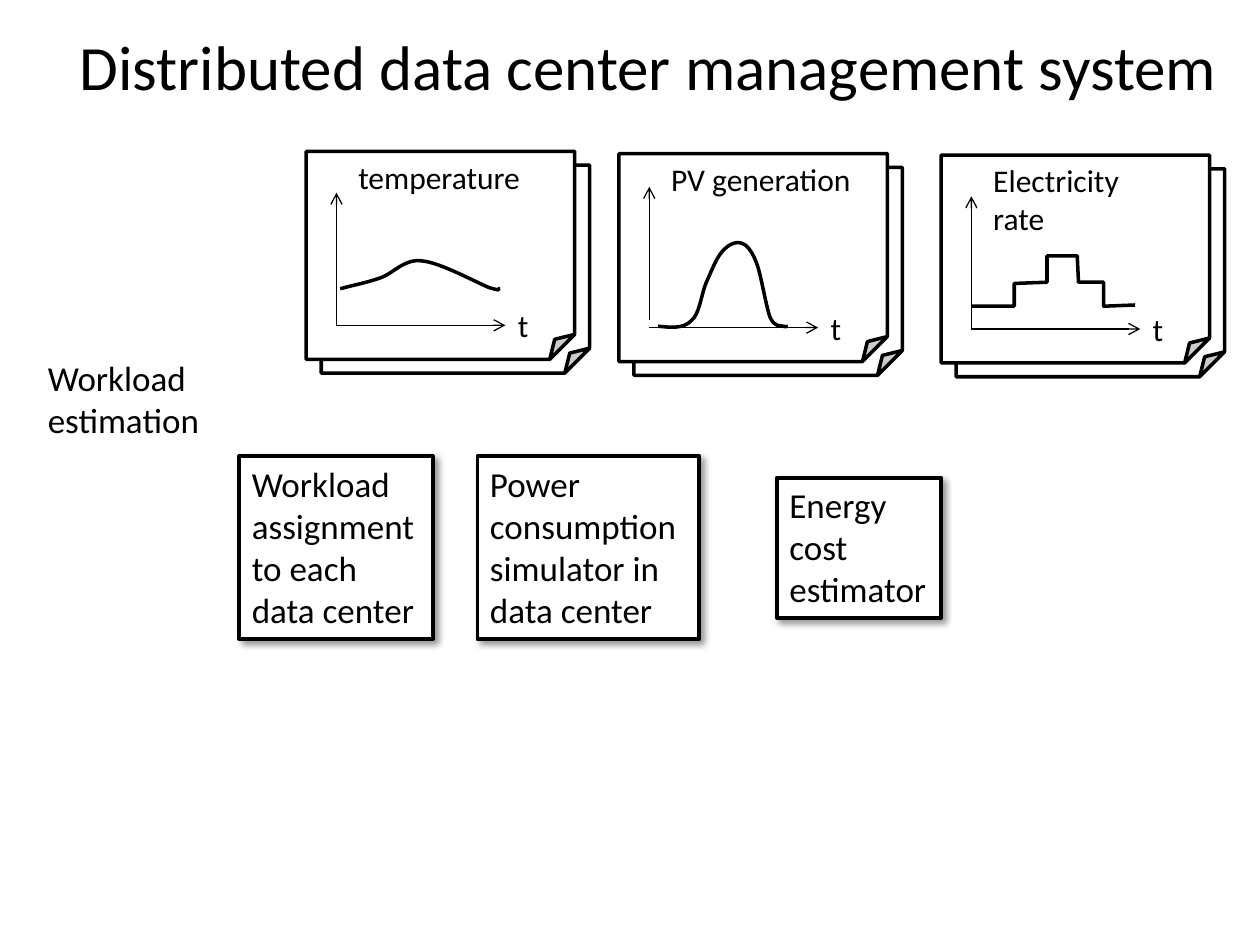
from dataclasses import dataclass

from lxml import etree
from pptx import Presentation
from pptx.dml.color import RGBColor
from pptx.enum import shapes, text
from pptx.oxml import ns
from pptx.util import Pt


@dataclass(frozen=True)
class Theme:
    """Colours, font, type sizes and line widths of the slide."""
    ink: RGBColor = RGBColor(0, 0, 0)
    paper: RGBColor = RGBColor(255, 255, 255)
    font: str = "Calibri"
    title: int = 36
    body: int = 20
    label: int = 18
    axis: float = 0.75
    outline: float = 2
    frame: float = 2.25


THEME = Theme()
CARD_SIZE = (153.4, 118.8)
PAGE_SHIFT = (8.6, 7.9)
ORIGIN = (17.3, 99.4)
AXIS_LENGTHS = (96.5, 75.8)

TEMPERATURE = [
    (19.4, 78.5),
    (27.4, 76.3), (35.3, 74.9), (43.2, 72),
    (50.4, 69.1), (56.2, 61.2), (66.2, 62.6),
    (76.3, 63.4), (97.2, 74.9), (104.4, 77.8),
    (111.6, 79.9), (110.2, 79.2), (109.4, 77.8)]
GENERATION = [
    (22.3, 98.6),
    (29.5, 99.4), (36.7, 100.1), (41, 95.8),
    (46.1, 92.2), (46.8, 81.4), (49.7, 74.2),
    (52.6, 67.7), (55.4, 60.5), (58.3, 56.9),
    (61.2, 53.3), (63.4, 51.8), (66.2, 51.1),
    (68.4, 50.4), (70.6, 51.1), (72.7, 52.6),
    (74.9, 54.7), (77, 57.6), (79.2, 64.1),
    (81.4, 70.6), (84.2, 87.8), (86.4, 93.6),
    (89.3, 99.4), (91.4, 97.9), (93.6, 98.6),
    (95, 99.4), (95.8, 98.6), (96.5, 98.6)]
RATE = [
    (17.3, 86.4), (41.8, 86.4), (41.8, 73.4), (60.5, 72.7), (60.5, 57.6),
    (77.8, 57.6), (78.5, 72.7), (92.9, 72.7), (92.9, 86.4), (110.9, 85.7)]


def add_xml(parent, tag, **attributes):
    """Append a DrawingML element and return it."""
    return etree.SubElement(parent, ns.qn(tag), attributes)


def write(frame, paragraphs, size, align=text.PP_ALIGN.LEFT,
          anchor=text.MSO_ANCHOR.TOP, wrap=False, grow=True):
    """Fill a text frame with formatted paragraphs."""
    frame.word_wrap = wrap
    frame.auto_size = (text.MSO_AUTO_SIZE.SHAPE_TO_FIT_TEXT if grow
                       else text.MSO_AUTO_SIZE.NONE)
    frame.vertical_anchor = anchor
    for index, wording in enumerate(paragraphs):
        paragraph = frame.add_paragraph() if index else frame.paragraphs[0]
        paragraph.text = wording
        paragraph.alignment = align
        for run in paragraph.runs:
            run.font.name = THEME.font
            run.font.size = Pt(size)
            run.font.color.rgb = THEME.ink


def add_label(slide, box, paragraphs, size, **style):
    """Place text in a plain box."""
    label = slide.shapes.add_textbox(*map(Pt, box))
    write(label.text_frame, paragraphs, size, **style)


def add_panel(slide, kind, box, width):
    """Place a white shape with a black outline."""
    panel = slide.shapes.add_shape(kind, *map(Pt, box))
    panel.shadow.inherit = False
    panel.fill.solid()
    panel.fill.fore_color.rgb = THEME.paper
    panel.line.color.rgb = THEME.ink
    panel.line.width = Pt(width)
    return panel


def add_arrow(slide, start, end):
    """Draw a thin axis with an arrowhead at its end."""
    axis = slide.shapes.add_connector(
        shapes.MSO_CONNECTOR.STRAIGHT, *map(Pt, start + end))
    axis.line.color.rgb = THEME.ink
    axis.line.width = Pt(THEME.axis)
    outline = axis._element.spPr.find(ns.qn("a:ln"))
    add_xml(outline, "a:tailEnd", type="arrow")
    add_xml(axis._element.spPr, "a:effectLst")


def add_trace(slide, left, top, points, curved):
    """Draw a series as straight steps or as cubic curves."""
    points = [(Pt(left + x), Pt(top + y)) for x, y in points]
    corners = points[::3] if curved else points
    builder = slide.shapes.build_freeform(*corners[0])
    builder.add_line_segments(corners[1:], close=False)
    trace = builder.convert_to_shape()
    trace.shadow.inherit = False
    trace.fill.background()
    trace.line.color.rgb = THEME.ink
    trace.line.width = Pt(THEME.outline)
    if curved:
        segments = list(trace._element.iter(ns.qn("a:lnTo")))
        for index, segment in enumerate(segments):
            bezier = etree.Element(ns.qn("a:cubicBezTo"))
            for x, y in points[3 * index + 1:3 * index + 4]:
                add_xml(bezier, "a:pt", x=str(x - trace.left), y=str(y - trace.top))
            segment.getparent().replace(segment, bezier)


def add_chart_card(slide, left, top, title, title_size, points, curved=True, lift=0):
    """Place stacked pages that hold a sketched time series."""
    for shift_x, shift_y in (PAGE_SHIFT, (0, 0)):
        page = add_panel(slide, shapes.MSO_SHAPE.FOLDED_CORNER,
                         (left + shift_x, top + shift_y, *CARD_SIZE), THEME.outline)
        fold = next(page._element.iter(ns.qn("a:avLst")))
        add_xml(fold, "a:gd", name="adj", fmla="val 12000")
    x, y = left + ORIGIN[0], top + ORIGIN[1]
    across, up = AXIS_LENGTHS
    add_arrow(slide, (x, y), (x + across, y))
    add_arrow(slide, (x, y - lift), (x, y - lift - up))
    add_trace(slide, left, top, points, curved)
    add_label(slide, (left + 22.7, top, *title_size), title, THEME.label)
    add_label(slide, (x + across, y - 14.4, 30.2, 29), ["t"], THEME.label, wrap=True)


def add_module(slide, box, paragraphs):
    """Place a framed module with a soft shadow."""
    module = add_panel(slide, shapes.MSO_SHAPE.RECTANGLE, box, THEME.frame)
    effects = module._element.spPr.find(ns.qn("a:effectLst"))
    shadow = add_xml(effects, "a:outerShdw", blurRad=str(Pt(4)), dist=str(Pt(3)),
                     dir="2700000", algn="tl", rotWithShape="0")
    colour = add_xml(shadow, "a:srgbClr", val=str(THEME.ink))
    add_xml(colour, "a:alpha", val="40000")
    write(module.text_frame, paragraphs, THEME.body)


def build_slide(slide):
    """Lay out the title, the forecast cards and the modules."""
    add_label(slide, (24.5, 3.6, 691.9, 67), ["Distributed data center management system"],
              THEME.title, align=text.PP_ALIGN.CENTER,
              anchor=text.MSO_ANCHOR.MIDDLE, wrap=True, grow=False)
    add_label(slide, (20.2, 200.2, 102.2, 55.7), ["Workload", "estimation"], THEME.body)
    add_chart_card(slide, 537.8, 88.6, ["Electricity", "rate"], (91.4, 51), RATE,
                   curved=False)
    add_chart_card(slide, 353.7, 87.8, ["PV generation"], (118, 29), GENERATION, lift=4.6)
    add_chart_card(slide, 175, 86.5, ["temperature"], (108, 29), TEMPERATURE)
    add_module(slide, (272.9, 260.6, 126.7, 104.7),
               ["Power", "consumption", "simulator in\ndata center"])
    add_module(slide, (136.8, 260.6, 110.5, 104.7),
               ["Workload", "assignment", "to each\ndata center"])
    add_module(slide, (444, 273, 93.8, 80), ["Energy\ncost", "estimator"])


def main():
    """Create and save the presentation."""
    deck = Presentation()
    deck.slide_width, deck.slide_height = Pt(720), Pt(540)
    build_slide(deck.slides.add_slide(deck.slide_layouts[6]))
    deck.save("out.pptx")


if __name__ == "__main__":
    main()
